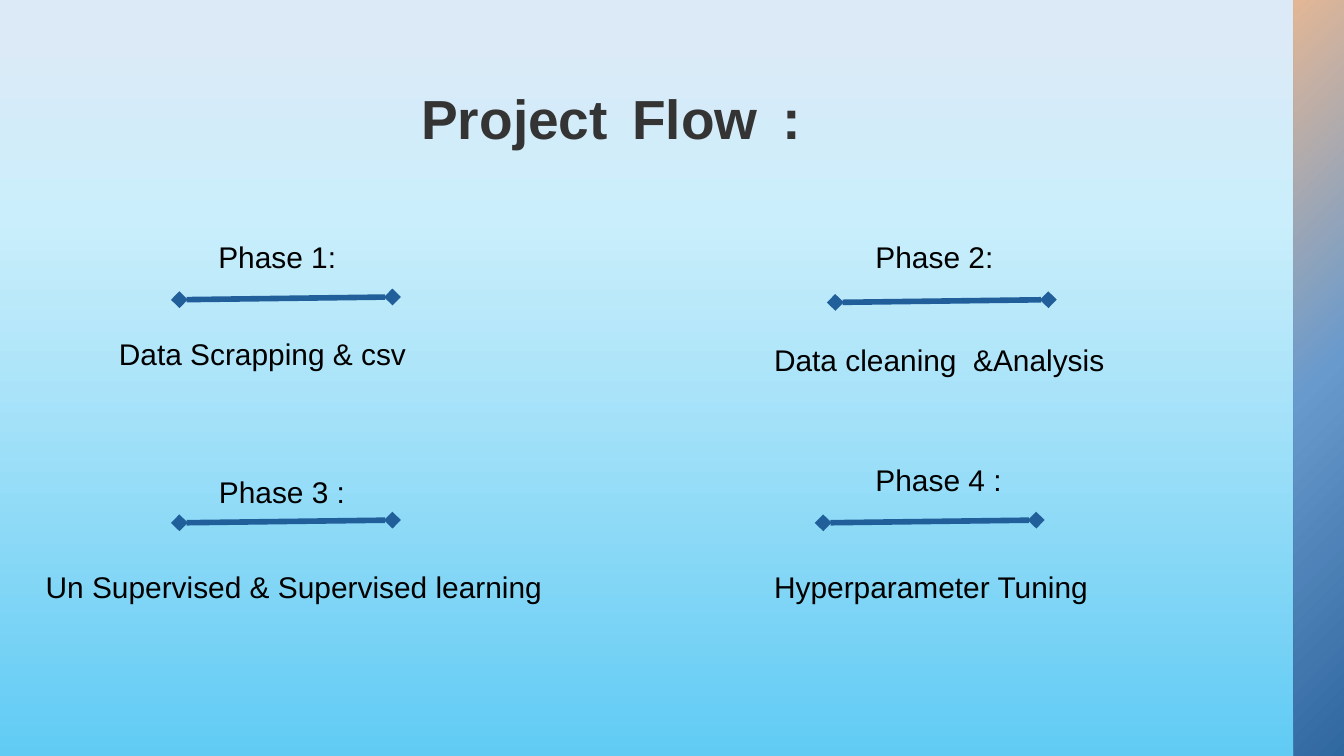
"""Build the Project Flow slide with four underlined phases."""
import pptx
import pptx.dml.color
import pptx.enum.shapes
import pptx.enum.text
import pptx.oxml.ns
import pptx.util
from lxml import etree
from pptx.dml.color import RGBColor
from pptx.util import Inches

INK = RGBColor(0x00, 0x00, 0x00)
TITLE = RGBColor(0x34, 0x34, 0x34)
RULE = RGBColor(0x21, 0x5F, 0x9A)
SKY = [
    (5, RGBColor(0xDC, 0xEA, 0xF7)),
    (29, RGBColor(0xCA, 0xEE, 0xFB)),
    (100, RGBColor(0x61, 0xCB, 0xF4)),
]
BAND = [
    (0, RGBColor(0xE4, 0xB7, 0x95)),
    (50, RGBColor(0x69, 0x9A, 0xCD)),
    (100, RGBColor(0x2F, 0x67, 0x9F)),
]
FONT = "Arial"

PHASES = [
    ("Phase 1:", (3.15, 3.5), "Data Scrapping & csv", (1.67, 4.95), (2.67, 4.46)),
    ("Phase 2:", (12.93, 3.5), "Data cleaning  &Analysis", (11.42, 5.03), (12.43, 4.5)),
    ("Phase 3 :", (3.16, 7), "Un Supervised & Supervised learning", (0.58, 8.41), (2.67, 7.78)),
    ("Phase 4 :", (12.93, 6.82), "Hyperparameter Tuning", (11.42, 8.41), (12.25, 7.78)),
]


def add_xml(parent, tag, **attrs):
    return etree.SubElement(parent, pptx.oxml.ns.qn(tag), attrs)


def set_gradient(fill, element, stops, radial=False):
    fill.gradient()
    grad = element.find(".//" + pptx.oxml.ns.qn("a:gradFill"))
    for child in list(grad):
        grad.remove(child)
    stop_list = add_xml(grad, "a:gsLst")
    for position, color in stops:
        stop = add_xml(stop_list, "a:gs", pos=str(position * 1000))
        add_xml(stop, "a:srgbClr", val=str(color))
    if radial:
        shade = add_xml(grad, "a:path", path="circle")
        add_xml(shade, "a:fillToRect", r="100000", b="100000")
    else:
        add_xml(grad, "a:lin", ang="5400000", scaled="0")


def add_run(p, text, size=32, color=INK, bold=False):
    r = p.add_run()
    r.text = text
    r.font.name = FONT
    r.font.size = pptx.util.Pt(size)
    r.font.bold = bold
    r.font.color.rgb = color


def add_text(s, text, left, top, width, height=0.64, **style):
    sp = s.shapes.add_textbox(Inches(left), Inches(top), Inches(width), Inches(height))
    tf = sp.text_frame
    tf.word_wrap = True
    tf.auto_size = pptx.enum.text.MSO_AUTO_SIZE.SHAPE_TO_FIT_TEXT
    if text:
        add_run(tf.paragraphs[0], text, **style)
    return tf


def add_title(s):
    tf = add_text(s, "", 6.27, 1.08, 7.64, 1.34)
    tf.margin_left = tf.margin_top = tf.margin_right = tf.margin_bottom = 0
    p = tf.paragraphs[0]
    p.line_spacing = pptx.util.Pt(90.6)
    for text, size in [("Project", 59), (" ", 93.4), ("Flow", 59), (" ", 93.4), (":", 60)]:
        add_run(p, text, size=size, color=TITLE, bold=True)


def add_band(s):
    sp = s.shapes.add_shape(
        pptx.enum.shapes.MSO_SHAPE.RECTANGLE,
        Inches(19.25), Inches(-0.05), Inches(0.76), Inches(11.3),
    )
    sp.shadow.inherit = False
    sp.line.fill.background()
    set_gradient(sp.fill, sp._element, BAND, radial=True)


def add_rule(s, left, top):
    line = s.shapes.add_connector(
        pptx.enum.shapes.MSO_CONNECTOR.STRAIGHT,
        Inches(left), Inches(top), Inches(left + 3.17), Inches(top - 0.04),
    )
    line.line.color.rgb = RULE
    line.line.width = pptx.util.Pt(6)
    ln = line.line._get_or_add_ln()
    for end in ("a:headEnd", "a:tailEnd"):
        add_xml(ln, end, type="diamond")
    add_xml(line._element.spPr, "a:effectLst")


def main():
    prs = pptx.Presentation()
    prs.slide_width, prs.slide_height = Inches(20), Inches(11.25)
    s = prs.slides.add_slide(prs.slide_layouts[6])
    set_gradient(s.background.fill, s._element, SKY)
    add_title(s)
    add_band(s)
    for label, label_at, detail, detail_at, rule_at in PHASES:
        add_text(s, label, *label_at, width=3.5)
        add_text(s, detail, *detail_at, width=7.75)
        add_rule(s, *rule_at)
    prs.save("out.pptx")


if __name__ == "__main__":
    main()
